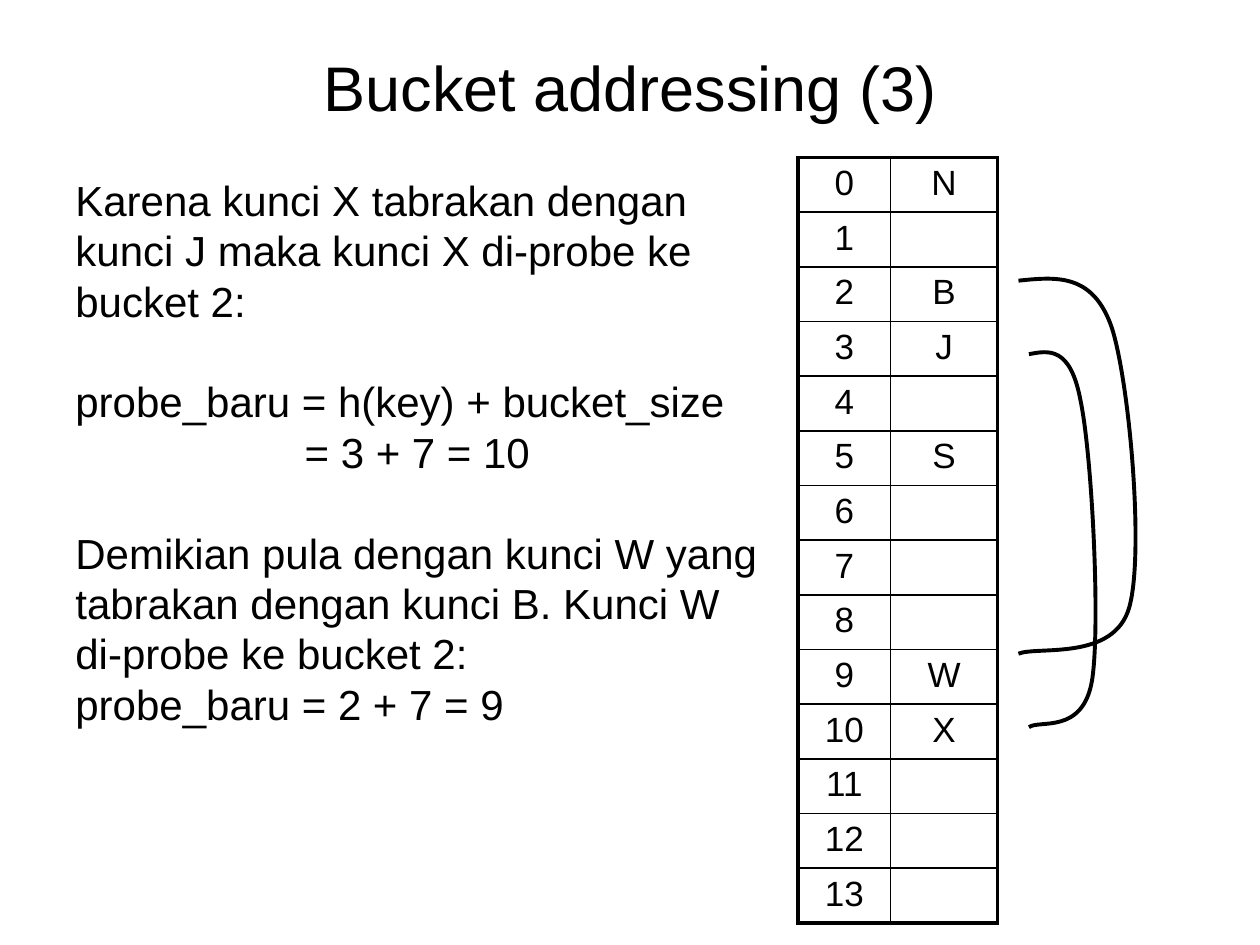
from dataclasses import dataclass

from lxml.etree import SubElement
from pptx import Presentation
from pptx.dml.color import RGBColor
from pptx.enum.text import MSO_ANCHOR as Anchor, PP_ALIGN as Align
from pptx.oxml.ns import qn
from pptx.util import Pt


@dataclass(frozen=True)
class Theme:
    ink: RGBColor = RGBColor(0, 0, 0)
    font: str = "Arial"
    title: float = 36
    body: float = 24
    cell: float = 20
    line: float = 28.8
    thin: float = 1
    thick: float = 2.25


T = Theme()
KEYS = {0: "N", 2: "B", 3: "J", 5: "S", 9: "W", 10: "X"}
BUCKETS = 14
# text, left indent, space before
BODY = [
    ("Karena kunci X tabrakan dengan kunci J maka kunci X di-probe ke bucket 2:", 0, 0),
    ("probe_baru = h(key) + bucket_size", 0, T.line),
    ("= 3 + 7 = 10", 131, 0),
    ("Demikian pula dengan kunci W yang tabrakan dengan kunci B. "
     "Kunci W di-probe ke bucket 2:", 0, T.line),
    ("probe_baru = 2 + 7 = 9", 0, 0),
]
# Bezier points of each probe arc, as fractions of its box
ARC_B_TO_W = [(0, .02), (.3, .01), (.59, 0), (.74, .14), (.88, .28), (1, .72),
              (.88, .86), (.76, 1), (.15, .96), (0, .98)]
ARC_J_TO_X = [(0, .02), (.28, .01), (.58, 0), (.72, .14), (.88, .28), (1, .72),
              (.88, .86), (.75, 1), (.14, .96), (0, .98)]


def style(p, text, size, **formats):
    p.text = text
    for name, value in formats.items():
        setattr(p, name, value)
    for name, value in {"name": T.font, "size": Pt(size)}.items():
        setattr(p.font, name, value)
    p.font.color.rgb = T.ink


def text_frame(s, box, anchor):
    tf = s.shapes.add_textbox(*map(Pt, box)).text_frame
    tf.word_wrap = True
    tf.vertical_anchor = anchor
    return tf


def add_title(s, box, text):
    tf = text_frame(s, box, Anchor.MIDDLE)
    style(tf.paragraphs[0], text, T.title, alignment=Align.CENTER)


def add_body(s, box):
    tf = text_frame(s, box, Anchor.TOP)
    for i, (text, indent, before) in enumerate(BODY):
        p = tf.add_paragraph() if i else tf.paragraphs[0]
        style(p, text, T.body, line_spacing=Pt(T.line), space_before=Pt(before))
        p._p.get_or_add_pPr().set("marL", str(Pt(indent)))


def add_borders(cell, widths):
    tcPr = cell._tc.get_or_add_tcPr()
    for side, width in widths.items():
        ln = SubElement(tcPr, qn(f"a:ln{side}"), w=str(Pt(width)))
        fill = SubElement(ln, qn("a:solidFill"))
        SubElement(fill, qn("a:srgbClr"), val=str(T.ink))


def add_buckets(s, box, columns):
    table = s.shapes.add_table(BUCKETS, len(columns), *map(Pt, box)).table
    table.first_row = table.horz_banding = False
    for column, width in zip(table.columns, columns):
        column.width = Pt(width)
    for r, row in enumerate(table.rows):
        row.height = Pt(box[3] / BUCKETS)
        for c, text in enumerate((str(r), KEYS.get(r, ""))):
            cell = table.cell(r, c)
            style(cell.text_frame.paragraphs[0], text, T.cell, alignment=Align.CENTER)
            # Thick frame, thin grid
            outer = {"L": c == 0, "R": c == len(columns) - 1,
                     "T": r == 0, "B": r == BUCKETS - 1}
            add_borders(cell, {k: T.thick if v else T.thin for k, v in outer.items()})
            cell.fill.background()


def add_arc(s, box, fractions):
    x, y, w, h = box
    start, *rest = [(Pt(x + fx * w), Pt(y + fy * h)) for fx, fy in fractions]
    builder = s.shapes.build_freeform(*start)
    builder.add_line_segments(rest, close=False)
    sp = builder.convert_to_shape()
    sp.shadow.inherit = False
    sp.fill.background()
    sp.line.color.rgb = T.ink
    sp.line.width = Pt(T.thick)
    # Join every three segments into one cubic curve
    segments = list(sp._element.iter(qn("a:lnTo")))
    for i in range(0, len(segments), 3):
        first, *others = segments[i:i + 3]
        curve = first.makeelement(qn("a:cubicBezTo"))
        first.addprevious(curve)
        for segment in (first, *others):
            curve.append(segment[0])
            segment.getparent().remove(segment)


def main():
    prs = Presentation()
    prs.slide_width, prs.slide_height = Pt(720), Pt(540)
    s = prs.slides.add_slide(prs.slide_layouts[6])
    add_title(s, (36, 21.6, 648, 56), "Bucket addressing (3)")
    add_buckets(s, (456, 90, 114, 436.8), (53, 61))
    add_arc(s, (588, 198, 41, 222), ARC_J_TO_X)
    add_body(s, (36, 96, 414, 323))
    add_arc(s, (582, 156, 72, 222), ARC_B_TO_W)
    prs.save("out.pptx")


if __name__ == "__main__":
    main()
